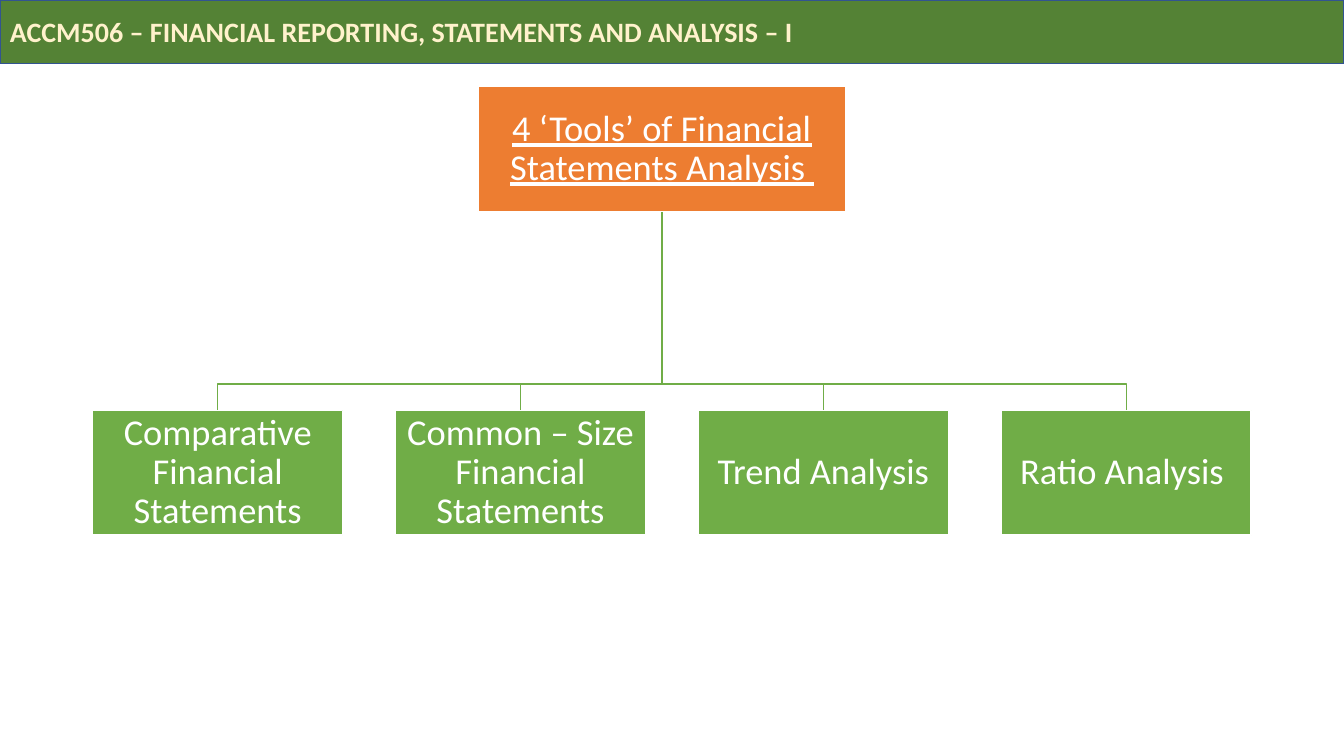
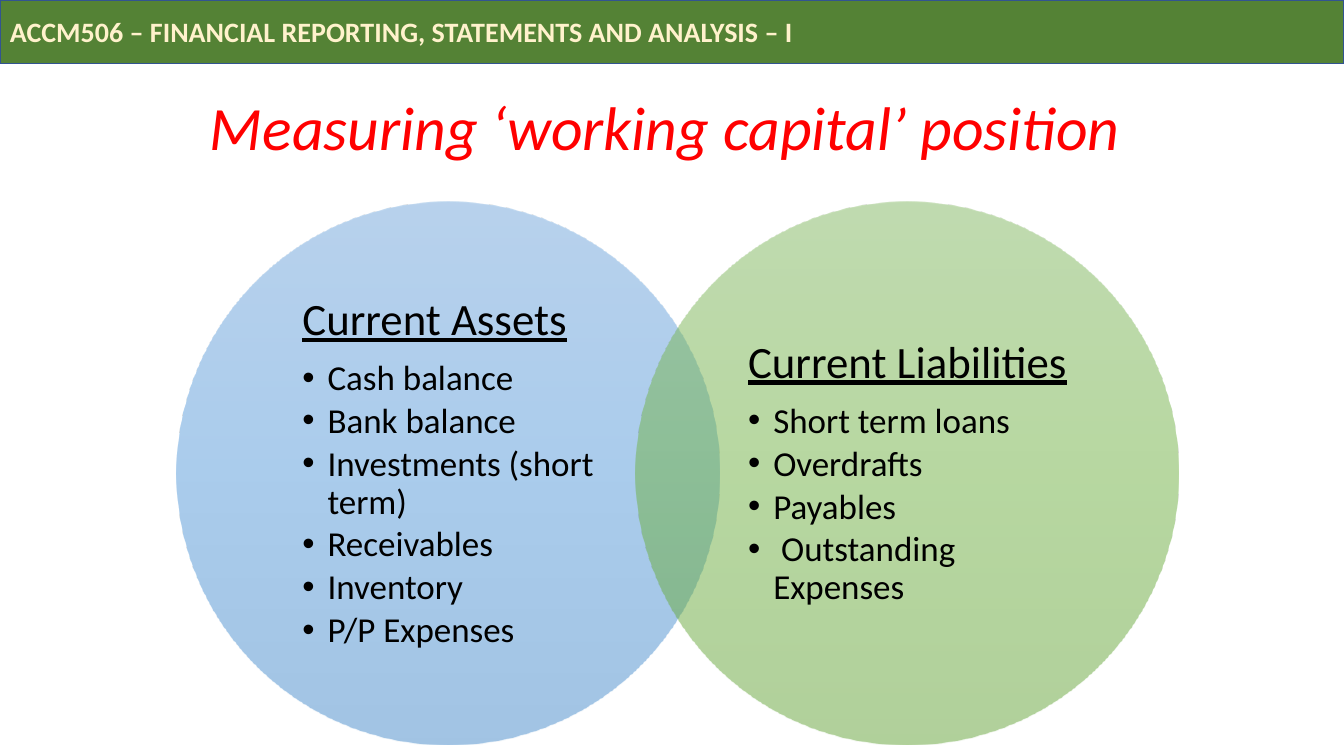
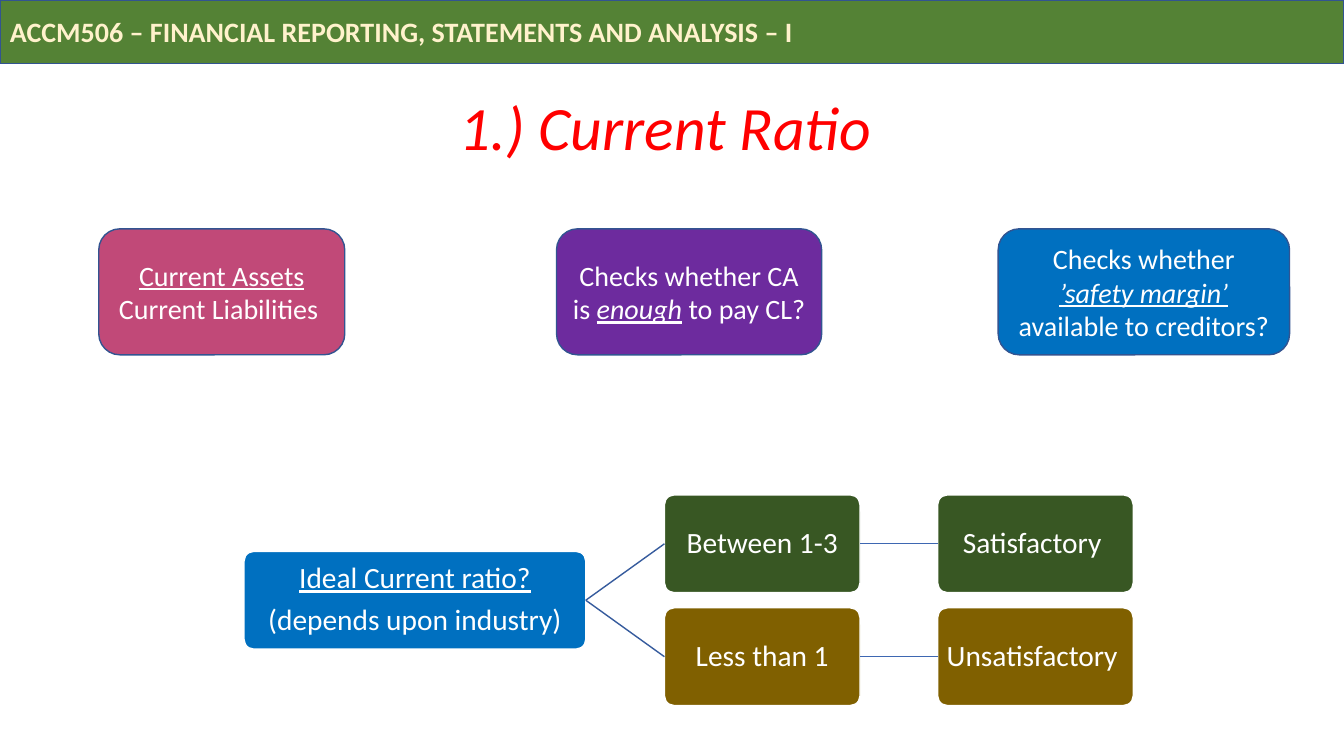
from lxml import etree
from pptx import Presentation
from pptx.dml.color import RGBColor
from pptx.enum.shapes import MSO_CONNECTOR, MSO_SHAPE
from pptx.enum.text import MSO_ANCHOR, PP_ALIGN
from pptx.oxml import parse_xml
from pptx.oxml.ns import nsdecls, qn
from pptx.util import Pt

EMU_PER_PX = 9144  # 100 px to the inch
SLIDE_W, SLIDE_H = 1333, 750
FONT = "Calibri"
COLORS = {
    "white": "FFFFFF", "black": "000000", "title": "FF0000",
    "band": "548235", "band_text": "FFF2CC", "outline": "325491",
    "orange": "ED7D31", "green": "70AD47", "blue": "0070C0",
    "pink": "C14978", "purple": "6D2B9E",
    "good": "385723", "bad": "806000", "branch": "365B9D", "link": "3E67B2",
}
ASSETS_FADE = ("71A6DB", "559BDB", "448ACA")
LIABILITIES_FADE = ("81B861", "6FB242", "62A336")

RECT, ROUNDED, OVAL = MSO_SHAPE.RECTANGLE, MSO_SHAPE.ROUNDED_RECTANGLE, MSO_SHAPE.OVAL
STRAIGHT = MSO_CONNECTOR.STRAIGHT
LEFT, CENTER = PP_ALIGN.LEFT, PP_ALIGN.CENTER
MIDDLE = MSO_ANCHOR.MIDDLE
LEFT_SIDE, RIGHT_SIDE = 1, 3


def px(n):
    return round(n * EMU_PER_PX)


def rgb(name):
    return RGBColor.from_string(COLORS[name])


def add_box(slide, kind, box, fill=None, line=None):
    sp = slide.shapes.add_shape(kind, *map(px, box))
    sp.shadow.inherit = False
    if fill:
        sp.fill.solid()
        sp.fill.fore_color.rgb = rgb(fill)
    if line:
        sp.line.color.rgb = rgb(line)
        sp.line.width = Pt(1)
    else:
        sp.line.fill.background()
    return sp


def format_run(r, size, color, marks=""):
    """Marks are any of b, i and u."""
    f = r.font
    f.name, f.size, f.color.rgb = FONT, Pt(size), rgb(color)
    f.bold, f.italic, f.underline = ("b" in marks, "i" in marks, "u" in marks)


def write(sp, paras, size, color="white", align=CENTER, insets=(10, 5),
          spacing=None, after=0):
    """Each paragraph is a list of (text, marks) pairs."""
    tf = sp.text_frame
    tf.word_wrap = True
    tf.vertical_anchor = MIDDLE
    tf.margin_left = tf.margin_right = px(insets[0])
    tf.margin_top = tf.margin_bottom = px(insets[1])
    for i, runs in enumerate(paras):
        p = tf.add_paragraph() if i else tf.paragraphs[0]
        p.alignment = align
        if spacing:
            p.line_spacing = spacing
        if after:
            p.space_after = Pt(after)
        for text, marks in runs:
            r = p.add_run()
            r.text = text
            format_run(r, size, color, marks)
    return tf


def join(slide, color, a, b):
    """Connect the right side of one box to the left side of another."""
    cn = slide.shapes.add_connector(STRAIGHT, a.left, a.top, b.left, b.top)
    cn.begin_connect(a, RIGHT_SIDE)
    cn.end_connect(b, LEFT_SIDE)
    cn.line.color.rgb = rgb(color)
    cn.line.width = Pt(1)
    etree.SubElement(cn._element.spPr, qn("a:effectLst"))


def add_polyline(slide, color, points):
    start, *rest = [(px(x), px(y)) for x, y in points]
    builder = slide.shapes.build_freeform(*start)
    builder.add_line_segments(rest, close=False)
    sp = builder.convert_to_shape()
    sp.shadow.inherit = False
    sp.fill.background()
    sp.line.color.rgb = rgb(color)
    sp.line.width = Pt(1)


def add_slide(prs, title=None):
    slide = prs.slides.add_slide(prs.slide_layouts[6])
    band = add_box(slide, RECT, (0, 0, SLIDE_W, 63), "band", "outline")
    course = "ACCM506 – FINANCIAL REPORTING, STATEMENTS AND ANALYSIS – I"
    write(band, [[(course, "b")]], 20, "band_text", LEFT)
    if title:
        sp = slide.shapes.add_textbox(*map(px, (92, 75, 1150, 110)))
        write(sp, [[(title, "i")]], 44, "title", spacing=0.9)
    return slide


def tools_tree(slide, box, root_text, leaf_texts):
    x, y, w, h = box
    root_x, root_w, leaf_w, node_h, drop = x + 382, 365, 248, 124, 26
    leaf_y = y + h - node_h
    bus_y = leaf_y - drop
    step = (w - leaf_w) / (len(leaf_texts) - 1)
    leaf_xs = [x + i * step for i in range(len(leaf_texts))]

    def node(node_box, fill, text, marks=""):
        sp = add_box(slide, RECT, node_box, fill, "white")
        write(sp, [[(text, marks)]], 26, insets=(2, 2), spacing=0.9)

    mid = root_x + root_w / 2
    for leaf_x in reversed(leaf_xs):
        cx = leaf_x + leaf_w / 2
        add_polyline(slide, "green", [(mid, y + node_h), (mid, bus_y),
                                      (cx, bus_y), (cx, leaf_y)])
    node((root_x, y, root_w, node_h), "orange", root_text, "u")
    for leaf_x, text in zip(leaf_xs, leaf_texts):
        node((leaf_x, leaf_y, leaf_w, node_h), "green", text)


def fade_fill(sp, stops):
    """Fill from top to bottom with three half-transparent colours."""
    gs = "".join(
        f'<a:gs pos="{i * 50000}"><a:srgbClr val="{c}"><a:alpha val="50000"/></a:srgbClr></a:gs>'
        for i, c in enumerate(stops))
    sp._element.spPr.find(qn("a:prstGeom")).addnext(parse_xml(
        f'<a:gradFill {nsdecls("a")} rotWithShape="1"><a:gsLst>{gs}</a:gsLst>'
        '<a:lin ang="5400000" scaled="0"/></a:gradFill>'))


def venn_circle(slide, box, stops, left_inset, heading, items):
    sp = add_box(slide, OVAL, box)
    fade_fill(sp, stops)
    tf = write(sp, [[(heading, "u")]], 32, "black", LEFT, (30, 4), 0.9, 11)
    tf.margin_left = px(left_inset)
    for item in items:
        p = tf.add_paragraph()
        p.text = item
        p.alignment, p.line_spacing, p.space_after = LEFT, 0.9, Pt(3.6)
        pPr = p._p.get_or_add_pPr()
        pPr.set("marL", str(px(25)))
        pPr.set("indent", str(-px(25)))
        etree.SubElement(pPr, qn("a:buFont")).set("typeface", "Arial")
        etree.SubElement(pPr, qn("a:buChar")).set("char", "•")
        format_run(p.runs[0], 25, "black")


def card(slide, box, fill, paras):
    write(add_box(slide, ROUNDED, box, fill, "outline"), paras, 20)


def ratio_tree(slide, box, root_paras, branches):
    x, y, w, h = box
    root_w, node_w, node_h = 339, 194, 97
    columns = x + 417, x + w - node_w
    step = (h - node_h) / (len(branches) - 1)

    def node(left, top, width, fill, paras):
        sp = add_box(slide, ROUNDED, (left, top, width, node_h), fill, "white")
        sp.adjustments[0] = 0.1
        write(sp, paras, 21, insets=(4, 4), spacing=0.9, after=7)
        return sp

    root = node(x, y + (h - node_h) / 2, root_w, "blue", root_paras)
    for i, (fill, *texts) in enumerate(branches):
        test, verdict = [node(left, y + i * step, node_w, fill, [[(text, "")]])
                         for left, text in zip(columns, texts)]
        join(slide, "branch", root, test)
        join(slide, "link", test, verdict)


def main():
    prs = Presentation()
    prs.slide_width, prs.slide_height = px(SLIDE_W), px(SLIDE_H)

    slide = add_slide(prs)
    tools_tree(slide, (92, 86, 1149, 445), "4 ‘Tools’ of Financial Statements Analysis ", [
        "Comparative Financial Statements", "Common – Size Financial Statements",
        "Trend Analysis", "Ratio Analysis "])

    slide = add_slide(prs, "Measuring ‘working capital’ position ")
    venn_circle(slide, (175, 200, 539, 539), ASSETS_FADE, 46, "Current Assets", [
        "Cash balance", "Bank balance", "Investments (short term)",
        "Receivables", "Inventory", "P/P Expenses"])
    venn_circle(slide, (630, 200, 539, 539), LIABILITIES_FADE, 33, "Current Liabilities", [
        "Short term loans", "Overdrafts", "Payables", " Outstanding Expenses"])

    slide = add_slide(prs, "1.) Current Ratio ")
    ratio_tree(slide, (242, 491, 882, 209),
               [[("Ideal Current ratio?", "u")], [("(depends upon industry)", "")]],
               [("good", "Between 1-3", "Satisfactory "),
                ("bad", "Less than 1", "Unsatisfactory ")])
    cards = [
        (98, 244, "pink", [[("Current Assets", "u")], [("Current Liabilities ", "")]]),
        (552, 263, "purple", [[("Checks whether CA is ", ""), ("enough", "iu"),
                               (" to pay CL?", "")]]),
        (990, 289, "blue", [[("Checks whether ", ""), ("’safety margin’ ", "iu"),
                             ("available to creditors?", "")]]),
    ]
    for left, width, fill, paras in cards:
        card(slide, (left, 227, width, 125), fill, paras)

    prs.save("out.pptx")


if __name__ == "__main__":
    main()
